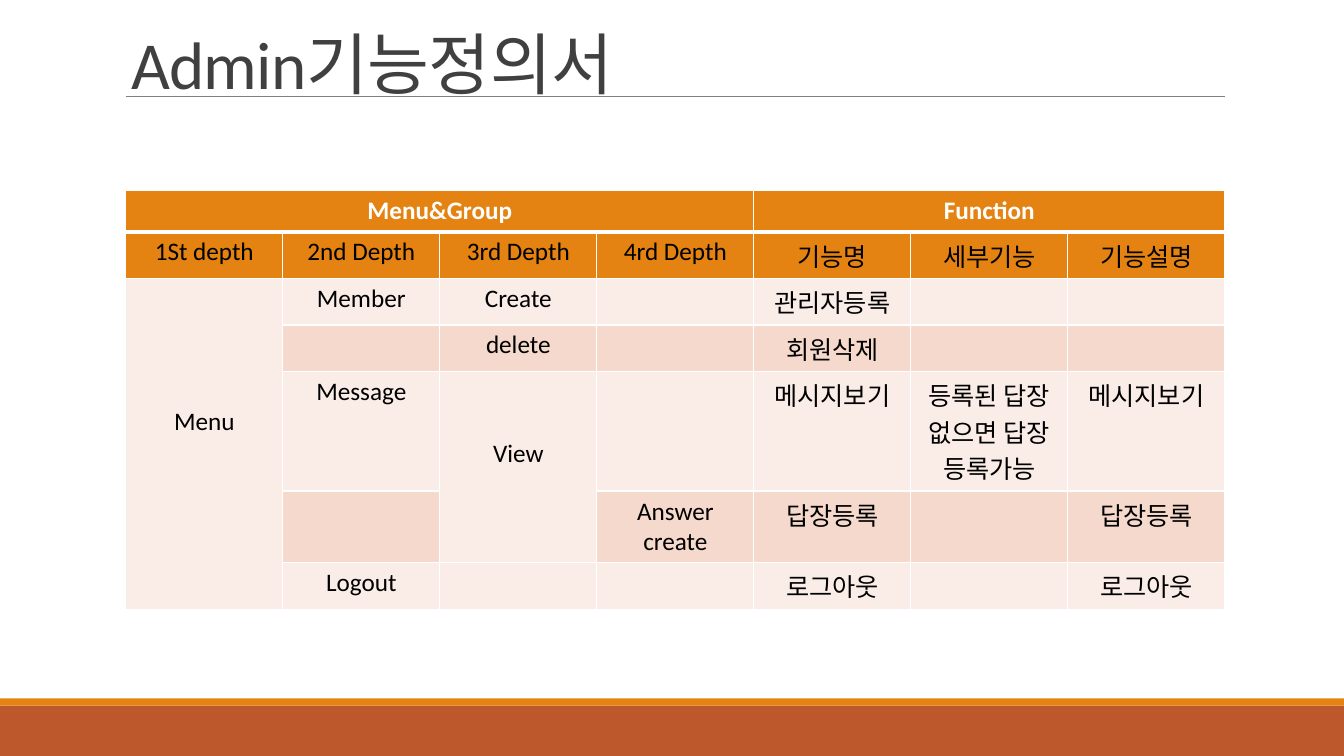
from pptx import Presentation
from pptx.dml.color import RGBColor
from pptx.enum.shapes import MSO_CONNECTOR as Connector, MSO_SHAPE as Shape
from pptx.enum.text import MSO_ANCHOR as Anchor, MSO_AUTO_SIZE as AutoSize, PP_ALIGN as Align
from pptx.oxml.ns import qn
from pptx.util import Cm, Pt
from lxml.etree import SubElement

TITLE = "Admin기능정의서"
ROWS = [
    ["Menu&Group", "", "", "", "Function", "", ""],
    ["1St depth", "2nd Depth", "3rd Depth", "4rd Depth", "기능명", "세부기능", "기능설명"],
    ["Menu", "Member", "Create", "", "관리자등록", "", ""],
    ["", "", "delete", "", "회원삭제", "", ""],
    ["", "Message", "View", "", "메시지보기", "등록된 답장 없으면 답장 등록가능", "메시지보기"],
    ["", "", "", "Answer\ncreate", "답장등록", "", "답장등록"],
    ["", "Logout", "", "", "로그아웃", "", "로그아웃"],
]
MERGES = [((0, 0), (0, 3)), ((0, 4), (0, 6)), ((2, 0), (6, 0)), ((4, 2), (5, 2))]
TOP_MARGINS = {"Menu": 3.23, "View": 1.69}
COLORS = {
    "orange": "E48312", "rust": "BD582C", "light": "FAEDE7", "dark": "F5D9CC",
    "white": "FFFFFF", "black": "000000", "title": "404040", "rule": "808080",
}
SLIDE_WIDTH, SLIDE_HEIGHT = 33.87, 19.05
TABLE_LEFT, TABLE_TOP, TABLE_WIDTH, ROW_HEIGHT = 3.17, 4.81, 27.7, 1.03
RULE_TOP = 2.43
BANDS = [("rust", 17.78, 1.27), ("orange", 17.6, 0.18)]
TITLE_FORMAT = {"name": "Calibri", "size": Pt(48), "bold": False}
HEADER_FORMAT = {"name": "Calibri", "size": Pt(18), "bold": True}
CELL_FORMAT = {"name": "Calibri", "size": Pt(18), "bold": False}


def color(name):
    return RGBColor.from_string(COLORS[name])


def format_runs(paragraph, values, color_name):
    for run in paragraph.runs:
        for name, value in values.items():
            setattr(run.font, name, value)
        run.font.color.rgb = color(color_name)


def add_borders(cell, row_index):
    widths = {"L": 1, "R": 1, "T": 3 if row_index == 1 else 1, "B": 3 if row_index == 0 else 1}
    properties = cell._tc.get_or_add_tcPr()
    for side, width in widths.items():
        line = SubElement(properties, qn(f"a:ln{side}"), w=str(Pt(width)))
        fill = SubElement(line, qn("a:solidFill"))
        SubElement(fill, qn("a:srgbClr"), val=COLORS["white"])


def add_bands(slide):
    for color_name, top, height in BANDS:
        band = slide.shapes.add_shape(Shape.RECTANGLE, 0, Cm(top), Cm(SLIDE_WIDTH), Cm(height))
        band.shadow.inherit = False
        band.fill.solid()
        band.fill.fore_color.rgb = color(color_name)
        band.line.fill.background()


def add_rule(slide):
    rule = slide.shapes.add_connector(
        Connector.STRAIGHT, Cm(TABLE_LEFT), Cm(RULE_TOP), Cm(TABLE_LEFT + TABLE_WIDTH), Cm(RULE_TOP))
    rule.line.color.rgb = color("rule")
    rule.line.width = Pt(0.5)
    SubElement(rule._element.spPr, qn("a:effectLst"))


def fill_title(slide):
    title = slide.shapes.title
    title.left, title.top, title.width, title.height = Cm(3.05), Cm(0.05), Cm(27.94), Cm(2.67)
    frame = title.text_frame
    frame.text = TITLE
    frame.word_wrap = True
    frame.auto_size = AutoSize.NONE
    frame.vertical_anchor = Anchor.BOTTOM
    paragraph = frame.paragraphs[0]
    paragraph.alignment = Align.LEFT
    paragraph.line_spacing = 0.85
    format_runs(paragraph, TITLE_FORMAT, "title")
    paragraph.runs[0].font._element.set("spc", "-50")


def add_function_table(slide):
    row_count, column_count = len(ROWS), len(ROWS[0])
    table = slide.shapes.add_table(
        row_count, column_count, Cm(TABLE_LEFT), Cm(TABLE_TOP),
        Cm(TABLE_WIDTH), Cm(ROW_HEIGHT * row_count)).table
    for column in table.columns:
        column.width = Cm(TABLE_WIDTH / column_count)
    for row_index, texts in enumerate(ROWS):
        table.rows[row_index].height = Cm(ROW_HEIGHT)
        body_fill = "light" if row_index % 2 == 0 else "dark"
        fill_name = "orange" if row_index < 2 else body_fill
        for column_index, text in enumerate(texts):
            cell = table.cell(row_index, column_index)
            add_borders(cell, row_index)
            cell.fill.solid()
            cell.fill.fore_color.rgb = color(fill_name)
            cell.text = text
            if text in TOP_MARGINS:
                cell.margin_top = Cm(TOP_MARGINS[text])
            for paragraph in cell.text_frame.paragraphs:
                paragraph.alignment = Align.CENTER
                if row_index == 0:
                    format_runs(paragraph, HEADER_FORMAT, "white")
                else:
                    format_runs(paragraph, CELL_FORMAT, "black")
    for first, last in MERGES:
        table.cell(*first).merge(table.cell(*last))


def main():
    presentation = Presentation()
    presentation.slide_width = Cm(SLIDE_WIDTH)
    presentation.slide_height = Cm(SLIDE_HEIGHT)
    slide = presentation.slides.add_slide(presentation.slide_layouts[5])
    add_bands(slide)
    add_rule(slide)
    fill_title(slide)
    add_function_table(slide)
    presentation.save("out.pptx")


if __name__ == "__main__":
    main()
